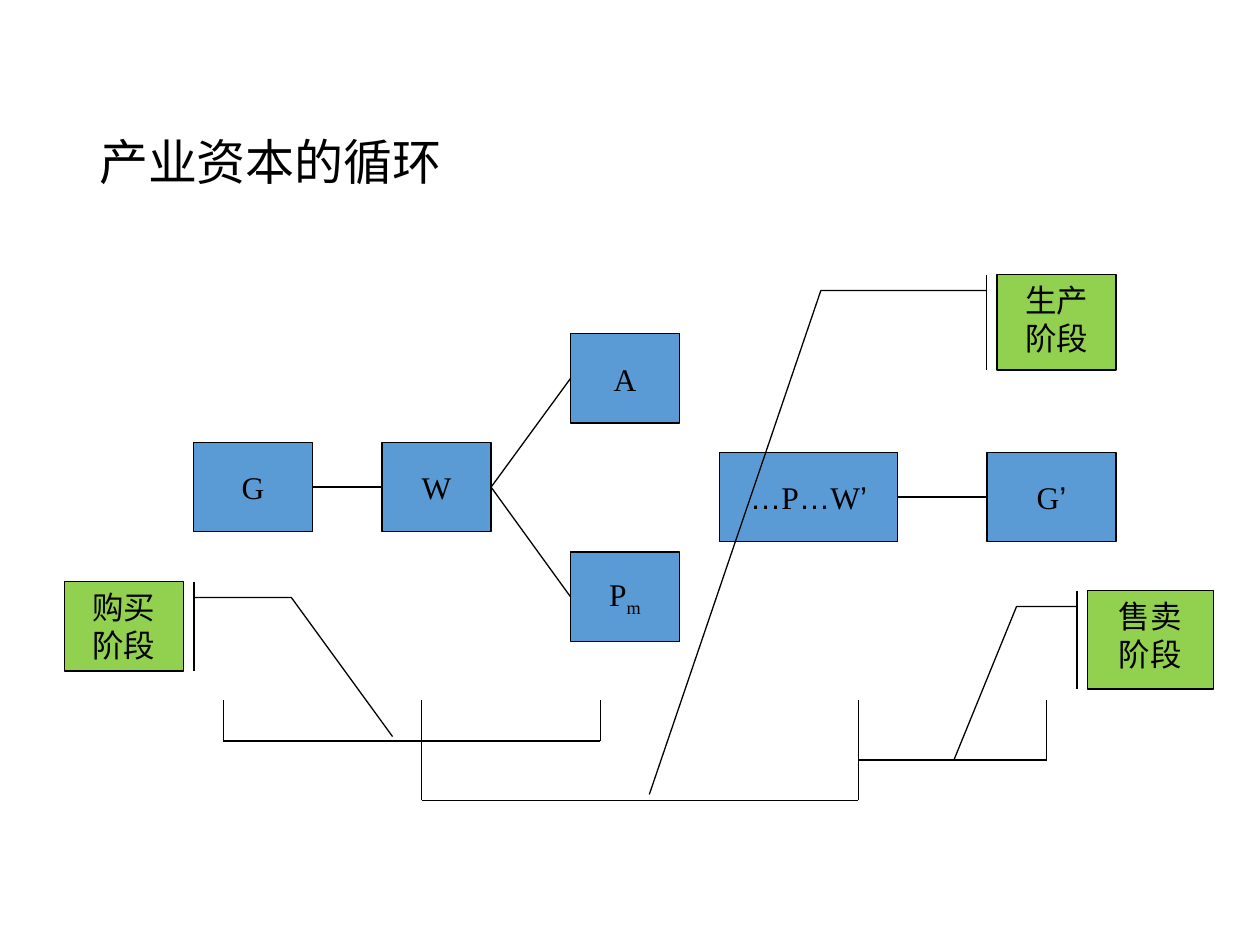
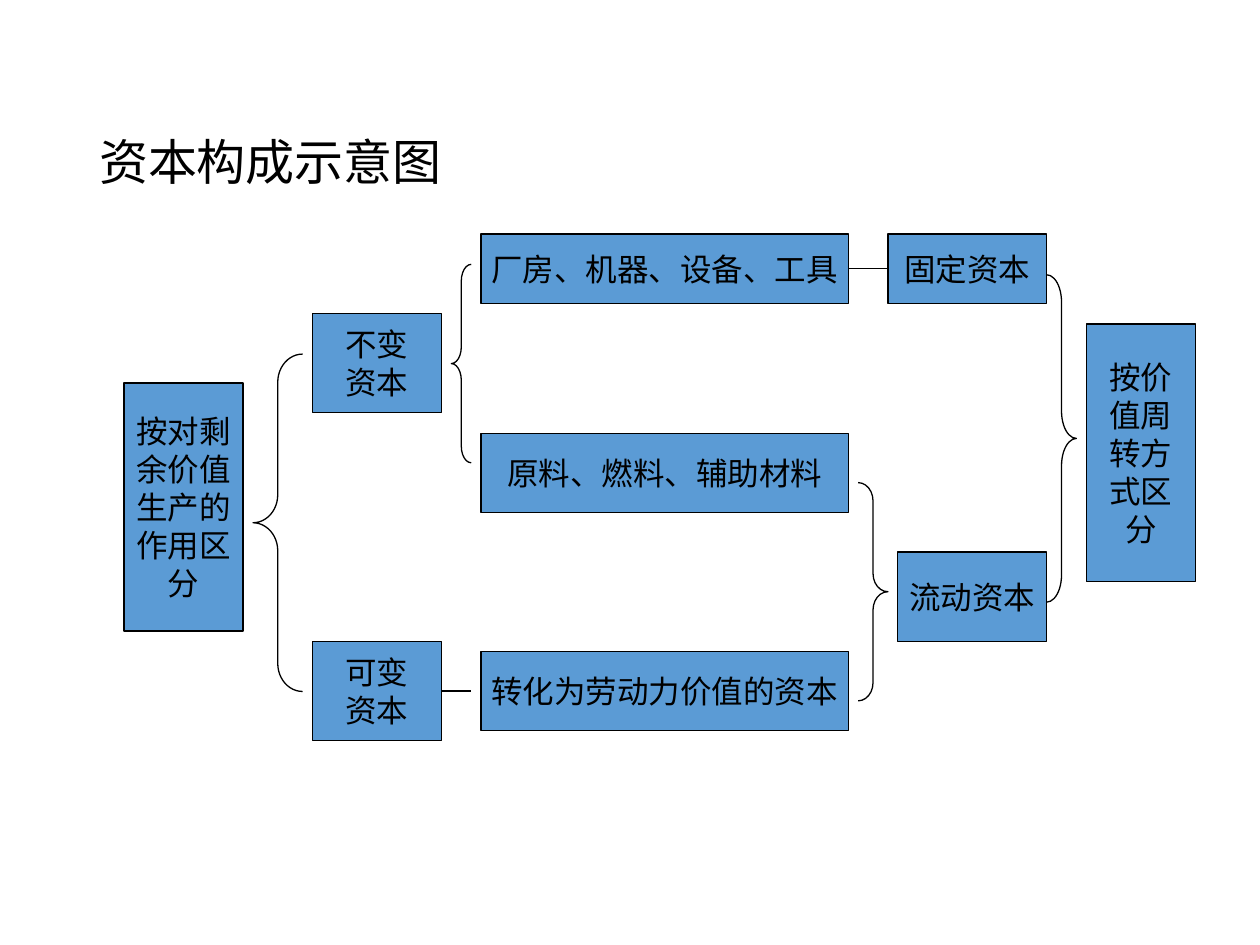
from dataclasses import dataclass
from itertools import groupby, pairwise

from lxml import etree
from pptx import Presentation
from pptx.dml.color import RGBColor
from pptx.enum import shapes, text
from pptx.oxml import ns
from pptx.util import Cm, Pt

LEFT, RIGHT = 1, 3  # connection sites of a rectangle
SHAPE = shapes.MSO_SHAPE


@dataclass(frozen=True)
class Theme:
    ink: RGBColor = RGBColor(0x00, 0x00, 0x00)
    box: RGBColor = RGBColor(0x5B, 0x9B, 0xD5)
    stage: RGBColor = RGBColor(0x92, 0xD0, 0x50)
    body_font: str = "Times New Roman"
    mark_font: str = "Arial"
    cjk_font: str = "Noto Sans CJK SC"
    title_size: Pt = Pt(28)
    body_size: Pt = Pt(18)
    line_width: Pt = Pt(0.75)


class Deck:
    def __init__(self, theme):
        self.theme = theme
        self.prs = Presentation()
        self.prs.slide_width, self.prs.slide_height = Cm(25.4), Cm(19.05)
        self.s = None

    def slide(self, title):
        self.s = self.prs.slides.add_slide(self.prs.slide_layouts[6])
        tf = self.s.shapes.add_textbox(Cm(1.75), Cm(2.24), Cm(15.98), Cm(2.16)).text_frame
        tf.word_wrap = True
        tf.vertical_anchor = text.MSO_ANCHOR.MIDDLE
        tf.text = title
        p = tf.paragraphs[0]
        p.line_spacing = 0.9
        self.style_run(p.runs[0], self.theme.cjk_font, self.theme.title_size)

    def style_run(self, r, font, size):
        """Set the Latin and East Asian typefaces, the size and the colour."""
        r.font.name, r.font.size = font, size
        r.font.color.rgb = self.theme.ink
        ea = etree.SubElement(r.font._element, ns.qn("a:ea"))
        ea.set("typeface", font if font == self.theme.mark_font else self.theme.cjk_font)

    def fill_text(self, tf, words, sub=""):
        """Set centred lines, with … and ’ in the mark font and an optional subscript."""
        for i, line in enumerate(words.split("\n")):
            p = tf.add_paragraph() if i else tf.paragraphs[0]
            p.alignment = text.PP_ALIGN.CENTER
            for is_mark, chars in groupby(line, lambda c: c in "…’"):
                r = p.add_run()
                r.text = "".join(chars)
                font = self.theme.mark_font if is_mark else self.theme.body_font
                self.style_run(r, font, self.theme.body_size)
        if sub:
            r = p.add_run()
            r.text = sub
            self.style_run(r, self.theme.body_font, self.theme.body_size)
            r.font._element.set("baseline", "-25000")

    def outline(self, line):
        line.color.rgb = self.theme.ink
        line.width = self.theme.line_width

    def shape(self, kind, at, fill=None, adjustments=()):
        sp = self.s.shapes.add_shape(kind, *map(Cm, at))
        sp.shadow.inherit = False
        if fill is None:
            sp.fill.background()
        else:
            sp.fill.solid()
            sp.fill.fore_color.rgb = fill
        self.outline(sp.line)
        for i, value in enumerate(adjustments):
            sp.adjustments[i] = value
        return sp

    def box(self, words, *at, sub=""):
        sp = self.shape(SHAPE.RECTANGLE, at, self.theme.box)
        sp.text_frame.word_wrap = False
        self.fill_text(sp.text_frame, words, sub)
        return sp

    def callout(self, words, at, leader):
        """Add a stage label; leader holds the y, x fractions of its three points."""
        sp = self.shape(SHAPE.LINE_CALLOUT_2_BORDER_AND_ACCENT_BAR, at, self.theme.stage, leader)
        sp.text_frame.word_wrap = True
        sp.text_frame.vertical_anchor = text.MSO_ANCHOR.TOP
        self.fill_text(sp.text_frame, words)

    def brace(self, kind, at, curve):
        self.shape(kind, at, adjustments=(curve, 0.5))

    def line(self, start=(0, 0), end=(0, 0), source=None, target=None):
        """Draw a line; source and target boxes replace the points given."""
        c = self.s.shapes.add_connector(shapes.MSO_CONNECTOR.STRAIGHT, *map(Cm, (*start, *end)))
        if source is not None:
            c.begin_connect(source, RIGHT)
        if target is not None:
            c.end_connect(target, LEFT)
        self.outline(c.line)
        etree.SubElement(c._element.spPr, ns.qn("a:effectLst"))

    def polyline(self, *points):
        for start, end in pairwise(points):
            self.line(start, end)


def circulation_slide(deck):
    deck.slide("产业资本的循环")
    height = 1.8
    money = deck.box("G", 3.9, 8.92, 2.4, height)
    goods = deck.box("W", 7.7, 8.92, 2.2, height)
    labour = deck.box("A", 11.5, 6.73, 2.2, height)
    means = deck.box("P", 11.5, 11.13, 2.2, height, sub="m")
    output = deck.box("…P…W’", 14.5, 9.12, 3.6, height)
    returns = deck.box("G’", 19.9, 9.12, 2.6, height)
    for source, target in ((money, goods), (goods, labour), (goods, means), (output, returns)):
        deck.line(source=source, target=target)

    top, buying, making, selling = 14.12, 14.94, 16.13, 15.32
    deck.polyline((4.5, top), (4.5, buying), (12.1, buying), (12.1, top))
    deck.polyline((8.5, top), (8.5, making), (17.3, making), (17.3, top))
    deck.polyline((17.3, selling), (21.1, selling), (21.1, top))

    deck.callout("购买\n阶段", (1.3, 11.73, 2.4, 1.8), (0.176, 1.088, 0.176, 1.906, 1.733, 2.756))
    deck.callout("生产\n阶段", (20.1, 5.54, 2.4, 1.92), (0.166, -0.089, 0.166, -1.48, 5.457, -2.921))
    deck.callout("售卖\n阶段", (21.92, 11.91, 2.54, 1.98), (0.161, -0.083, 0.161, -0.562, 1.723, -1.059))


def composition_slide(deck):
    deck.slide("资本构成示意图")
    deck.box("按对剩\n余价值\n生产的\n作用区\n分", 2.5, 7.72, 2.4, 5)
    deck.brace(SHAPE.LEFT_BRACE, (5.1, 7.14, 1, 6.8), 0.566)
    deck.box("不变\n资本", 6.3, 6.32, 2.6, 2)
    variable = deck.box("可变\n资本", 6.3, 12.93, 2.6, 2)
    deck.brace(SHAPE.LEFT_BRACE, (9.1, 5.33, 0.4, 4), 0.84)

    left, width = 9.7, 7.4
    equipment = deck.box("厂房、机器、设备、工具", left, 4.72, width, 1.4)
    deck.box("原料、燃料、辅助材料", left, 8.74, width, 1.6)
    deck.box("转化为劳动力价值的资本", left, 13.13, width, 1.6)
    deck.line(end=(9.5, 13.93), source=variable)

    deck.brace(SHAPE.RIGHT_BRACE, (17.3, 9.73, 0.6, 4.4), 0.612)
    deck.box("流动资本", 18.1, 11.13, 3, 1.8)
    fixed = deck.box("固定资本", 17.9, 4.72, 3.2, 1.4)
    deck.line(source=equipment, target=fixed)
    deck.brace(SHAPE.RIGHT_BRACE, (21.1, 5.54, 0.6, 6.6), 0.917)
    deck.box("按价\n值周\n转方\n式区\n分", 21.9, 6.53, 2.2, 5.2)


def main():
    deck = Deck(Theme())
    circulation_slide(deck)
    composition_slide(deck)
    deck.prs.save("out.pptx")


if __name__ == "__main__":
    main()
